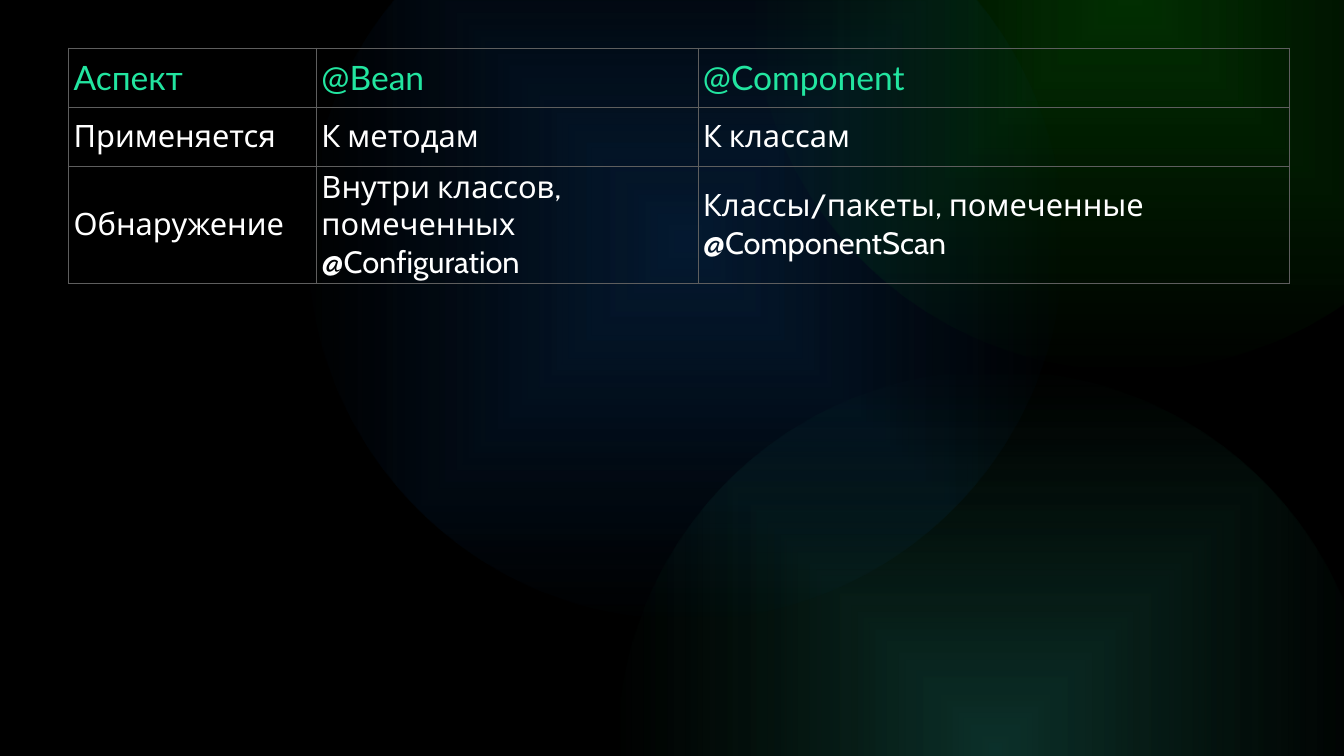
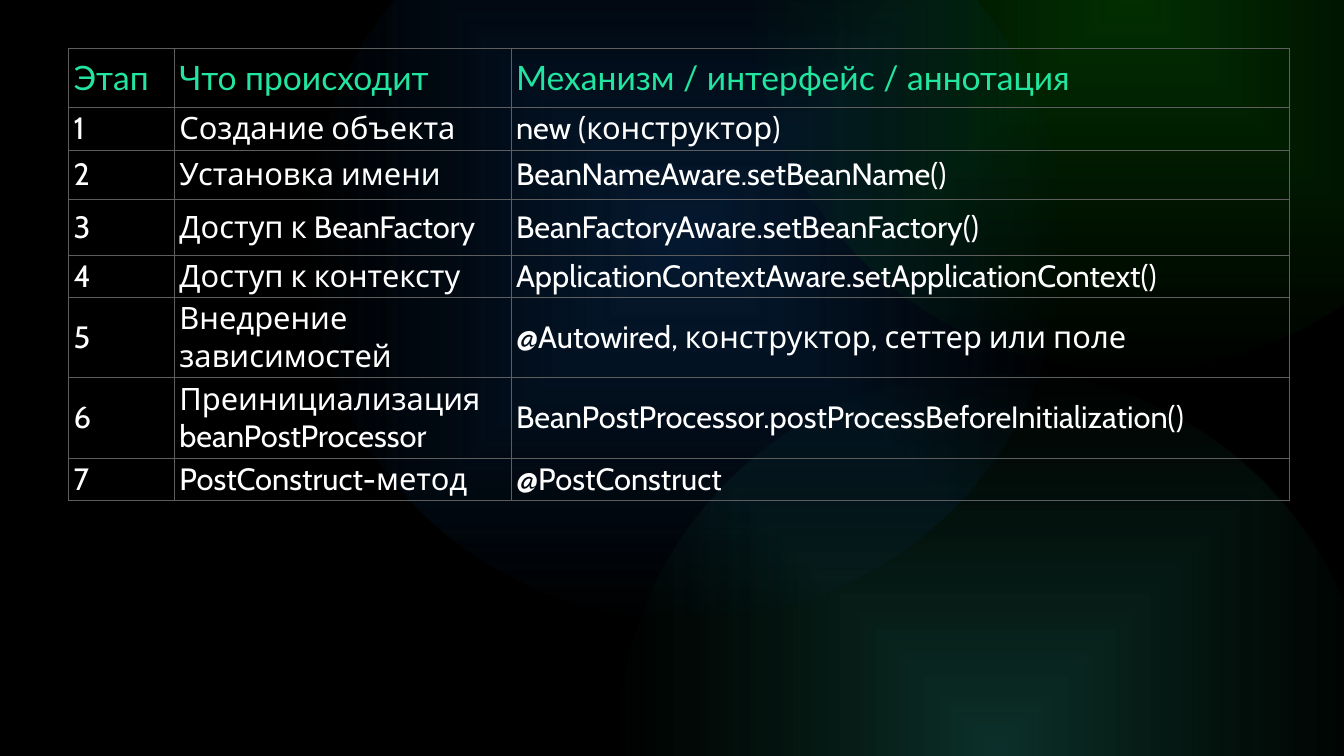
from lxml import etree
from pptx import Presentation
from pptx.dml.color import RGBColor
from pptx.enum.shapes import MSO_SHAPE as Preset
from pptx.enum.text import MSO_ANCHOR as Anchor
from pptx.oxml.ns import qn
from pptx.util import Inches, Pt

GRID_COLUMNS, GRID_ROWS = 26.67, 15
UNIT = Inches(1)

BLACK = RGBColor(0x00, 0x00, 0x00)
WHITE = RGBColor(0xFF, 0xFF, 0xFF)
RULE_GREY = RGBColor(0x5E, 0x5E, 0x5E)
GREEN = RGBColor(0x08, 0xBC, 0x08)
TEAL = RGBColor(0x31, 0xC2, 0xA7)
SEA_GREEN = RGBColor(0x20, 0x9F, 0x6D)
BLUE = RGBColor(0x11, 0x64, 0xC0)
LIME = RGBColor(0x34, 0xE2, 0x34)
MINT = RGBColor(0x22, 0xE5, 0xA0)
SKY = RGBColor(0x5A, 0xB0, 0xFF)

GLOW_SIZE = 15
GLOWS = [
    (14.91, -7.64, [(0, GREEN, 25), (100, GREEN, 0)]),
    (12.25, 7.36, [(0, TEAL, 25), (100, SEA_GREEN, 0)]),
    (6.1, -2.7, [(1, BLUE, 25), (100, BLUE, 0)]),
]
HEADING_STOPS = [(0, LIME, 100), (51, MINT, 100), (100, SKY, 100)]
TABLE_LEFT, TABLE_TOP, TABLE_WIDTH = 1.36, 0.95, 24.22

BEAN_ROWS = [
    ("Аспект", "@Bean", "@Component"),
    ("Применяется", "К методам", "К классам"),
    ("Обнаружение", "Внутри классов, помеченных @Configuration",
     "Классы/пакеты, помеченные @ComponentScan"),
]
LIFECYCLE_ROWS = [
    ("Этап", "Что происходит", "Механизм / интерфейс / аннотация"),
    ("1", "Создание объекта", "new (конструктор)"),
    ("2", "Установка имени", "BeanNameAware.setBeanName()"),
    ("3", "Доступ к BeanFactory", "BeanFactoryAware.setBeanFactory()"),
    ("4", "Доступ к контексту", "ApplicationContextAware.setApplicationContext()"),
    ("5", "Внедрение зависимостей", "@Autowired, конструктор, сеттер или поле"),
    ("6", "Преинициализация beanPostProcessor",
     "BeanPostProcessor.postProcessBeforeInitialization()"),
    ("7", "PostConstruct-метод", "@PostConstruct"),
]


def units(length):
    """Turn grid units into a slide length."""
    return round(length * UNIT)


def add_child(parent, tag, **attributes):
    """Append a DrawingML element with the given attributes."""
    child = etree.SubElement(parent, qn(f"a:{tag}"))
    for key, setting in attributes.items():
        child.set(key, str(setting))
    return child


def gradient(parent, stops, radial=False):
    """Append a gradient of (percent, colour, opacity) stops and return it."""
    fill = add_child(parent, "gradFill")
    stop_list = add_child(fill, "gsLst")
    for position, colour, opacity in stops:
        stop = add_child(stop_list, "gs", pos=position * 1000)
        tint = add_child(stop, "srgbClr", val=colour)
        if opacity < 100:
            add_child(tint, "alpha", val=opacity * 1000)
    if radial:
        route = add_child(fill, "path", path="shape")
        add_child(route, "fillToRect", l=50000, t=50000, r=50000, b=50000)
    else:
        add_child(fill, "lin", ang=0, scaled=0)
    return fill


def paint_backdrop(master, slide):
    """Give the master a black ground with three soft glows."""
    master.background.fill.solid()
    master.background.fill.fore_color.rgb = BLACK
    for left, top, stops in GLOWS:
        glow = slide.shapes.add_shape(
            Preset.OVAL, units(left), units(top), units(GLOW_SIZE), units(GLOW_SIZE))
        glow.rotation = 180
        glow.shadow.inherit = False
        glow.line.fill.background()
        properties = glow.element.spPr
        properties.find(qn("a:prstGeom")).addnext(gradient(properties, stops, radial=True))
        master.element.cSld.spTree.append(glow.element)


def style_cell(cell, text, is_heading):
    """Write one cell with thin grey borders and no fill."""
    cell.text_frame.text = text
    cell.vertical_anchor = Anchor.MIDDLE
    paragraph = cell.text_frame.paragraphs[0]
    run = paragraph.runs[0]
    run.font.name = "Lato" if is_heading else "Cabin"
    run.font.size = Pt(48 if is_heading else 44)
    if is_heading:
        paragraph.space_before = paragraph.space_after = Pt(6)
        letters = run.font._element
        letters.insert(0, gradient(letters, HEADING_STOPS))
    else:
        run.font.color.rgb = WHITE
    frame = cell._tc.get_or_add_tcPr()
    for side in "LRTB":
        border = add_child(frame, f"ln{side}", w=Pt(1))
        add_child(add_child(border, "solidFill"), "srgbClr", val=RULE_GREY)
    cell.fill.background()


def add_comparison(slide, left, top, width, entries, column_shares, row_heights):
    """Place a ruled table whose columns share the given width."""
    table = slide.shapes.add_table(
        len(entries), len(column_shares), units(left), units(top),
        units(width), units(sum(row_heights))).table
    table.first_row = table.horz_banding = False
    for column, share in zip(table.columns, column_shares):
        column.width = units(width * share / sum(column_shares))
    for row, height in zip(table.rows, row_heights):
        row.height = units(height)
    for row_number, entry in enumerate(entries):
        for column_number, text in enumerate(entry):
            style_cell(table.cell(row_number, column_number), text, row_number == 0)


def main():
    """Build both table slides and save them."""
    deck = Presentation()
    deck.slide_width, deck.slide_height = units(GRID_COLUMNS), units(GRID_ROWS)
    blank = deck.slide_layouts[6]
    bean_slide, lifecycle_slide = (deck.slides.add_slide(blank) for _ in range(2))
    paint_backdrop(deck.slide_master, bean_slide)
    table_place = (TABLE_LEFT, TABLE_TOP, TABLE_WIDTH)
    add_comparison(bean_slide, *table_place, BEAN_ROWS,
                   (4.92, 7.57, 11.73), (1.18, 1.16, 2.22))
    add_comparison(lifecycle_slide, *table_place, LIFECYCLE_ROWS,
                   (2.1, 6.68, 15.44),
                   (1.18, 0.85, 0.97, 1.11, 0.64, 1.08, 1.6, 0.56))
    deck.save("out.pptx")


if __name__ == "__main__":
    main()
